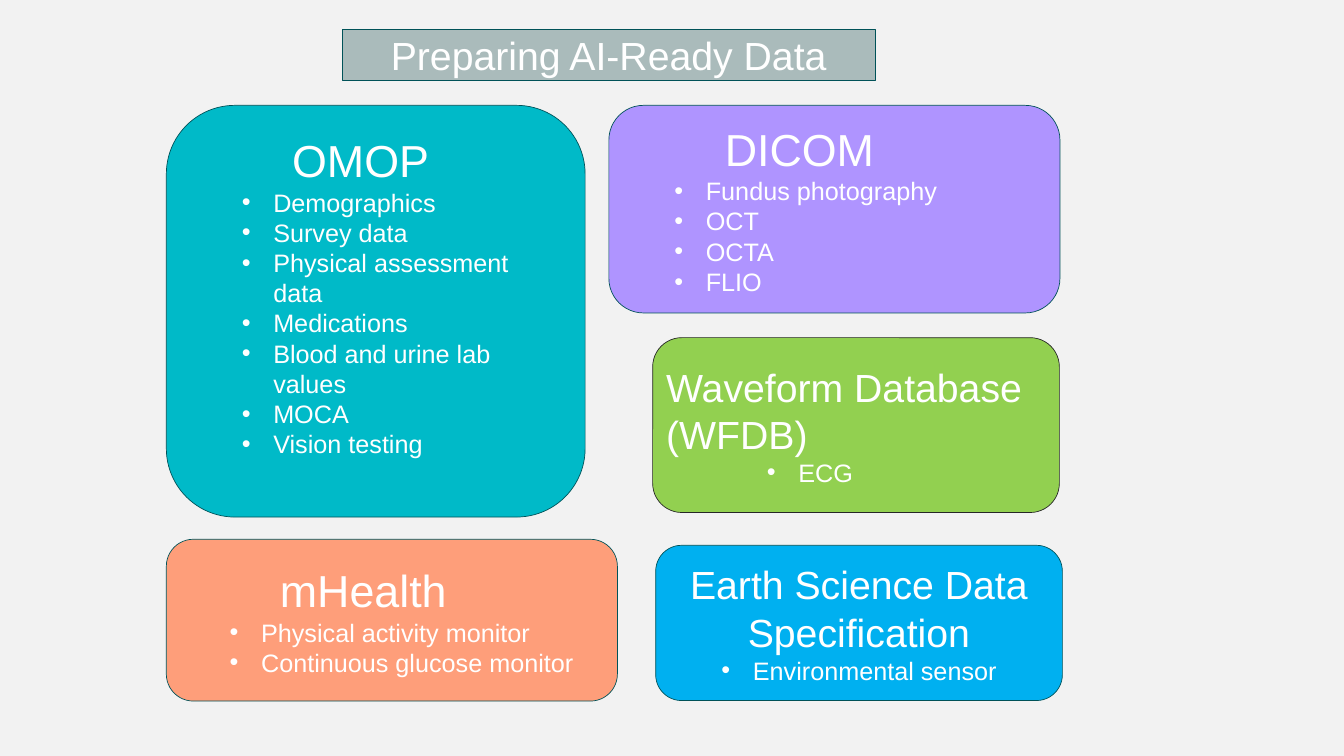
from lxml.etree import SubElement
from pptx import Presentation
from pptx.dml.color import RGBColor
from pptx.enum.shapes import MSO_SHAPE
from pptx.enum.text import MSO_ANCHOR, MSO_AUTO_SIZE, PP_ALIGN
from pptx.oxml import parse_xml
from pptx.oxml.ns import nsdecls, qn
from pptx.util import Pt

FONT = "Arial"
WHITE = "FFFFFF"
TEAL_LINE = "005258"
ITEM_SIZE = 36
BULLET_INDENT = 45
LEVEL_STEP = 72
TAB_STOP = 144
LINE_FACTOR = 1.2


def colour(value):
    return RGBColor.from_string(value)


def style_box(shape, fill, line):
    shape.fill.solid()
    shape.fill.fore_color.rgb = colour(fill)
    shape.line.color.rgb = colour(line)
    shape.line.width = Pt(1)
    frame = shape.text_frame
    frame.word_wrap = True
    frame.auto_size = MSO_AUTO_SIZE.NONE
    frame.vertical_anchor = MSO_ANCHOR.MIDDLE
    return frame


def write(paragraph, text, size, align):
    paragraph.alignment = align
    paragraph.line_spacing = Pt(size * LINE_FACTOR)
    paragraph.space_before = paragraph.space_after = Pt(0)
    run = paragraph.add_run()
    run.text = text
    run.font.name = FONT
    run.font.size = Pt(size)
    run.font.color.rgb = colour(WHITE)


def add_tab_stop(paragraph):
    tabs = SubElement(paragraph._p.get_or_add_pPr(), qn("a:tabLst"))
    SubElement(tabs, qn("a:tab"), pos=str(Pt(TAB_STOP)), algn="l")


def add_bullet(paragraph, level):
    paragraph.level = level
    properties = paragraph._p.get_or_add_pPr()
    properties.set("marL", str(Pt(BULLET_INDENT + level * LEVEL_STEP)))
    properties.set("indent", str(Pt(-BULLET_INDENT)))
    SubElement(properties, qn("a:buFont"), typeface=FONT)
    SubElement(properties, qn("a:buChar"), char="•")


def place_title(slide, box, text):
    """Turn the title placeholder into a rounded banner."""
    title = slide.shapes.title
    title.left, title.top, title.width, title.height = map(Pt, box)
    title.element.spPr.insert(1, parse_xml(
        f'<a:prstGeom {nsdecls("a")} prst="roundRect"><a:avLst/></a:prstGeom>'))
    frame = style_box(title, "AABBBB", TEAL_LINE)
    write(frame.paragraphs[0], text, 56, PP_ALIGN.CENTER)


def add_card(slide, box, fill, heading, items, size=64, level=1,
             align=PP_ALIGN.LEFT, line=TEAL_LINE, bottom_margin=3.6):
    """Add a rounded card holding a heading and its bulleted data types."""
    card = slide.shapes.add_shape(MSO_SHAPE.ROUNDED_RECTANGLE, *map(Pt, box))
    card.shadow.inherit = False
    frame = style_box(card, fill, line)
    frame.margin_bottom = Pt(bottom_margin)
    paragraph = frame.paragraphs[0]
    if heading.startswith("\t"):
        add_tab_stop(paragraph)
    write(paragraph, heading, size, align)
    for item in items:
        paragraph = frame.add_paragraph()
        add_bullet(paragraph, level)
        write(paragraph, item, ITEM_SIZE, align)


def main():
    presentation = Presentation()
    presentation.slide_width, presentation.slide_height = Pt(1920), Pt(1080)
    slide = presentation.slides.add_slide(presentation.slide_layouts[5])
    slide.background.fill.solid()
    slide.background.fill.fore_color.rgb = colour("F2F2F2")

    place_title(slide, (489.6, 41.8, 760.3, 73.4), "Preparing AI-Ready Data")
    add_card(slide, (237.6, 150.5, 598.3, 588.2), "00BAC8", "\tOMOP",
             ["Demographics", "Survey data", "Physical assessment data",
              "Medications", "Blood and urine lab values", "MOCA",
              "Vision testing"], bottom_margin=46.8)
    add_card(slide, (869.8, 150.5, 644.4, 296.6), "AF94FF", "\tDICOM",
             ["Fundus photography", "OCT", "OCTA", "FLIO"])
    add_card(slide, (237.6, 770.4, 644.4, 231.1), "FE9E7A", "\tmHealth",
             ["Physical activity monitor", "Continuous glucose monitor"])
    add_card(slide, (932.4, 482.4, 581, 249.8), "92D050",
             "Waveform Database (WFDB)", ["ECG"],
             size=56, level=2, line="262626")
    add_card(slide, (936.7, 779, 581, 221.8), "00B0F0",
             "Earth Science Data Specification", ["Environmental sensor"],
             size=56, level=0, align=PP_ALIGN.CENTER)

    presentation.save("out.pptx")


if __name__ == "__main__":
    main()
